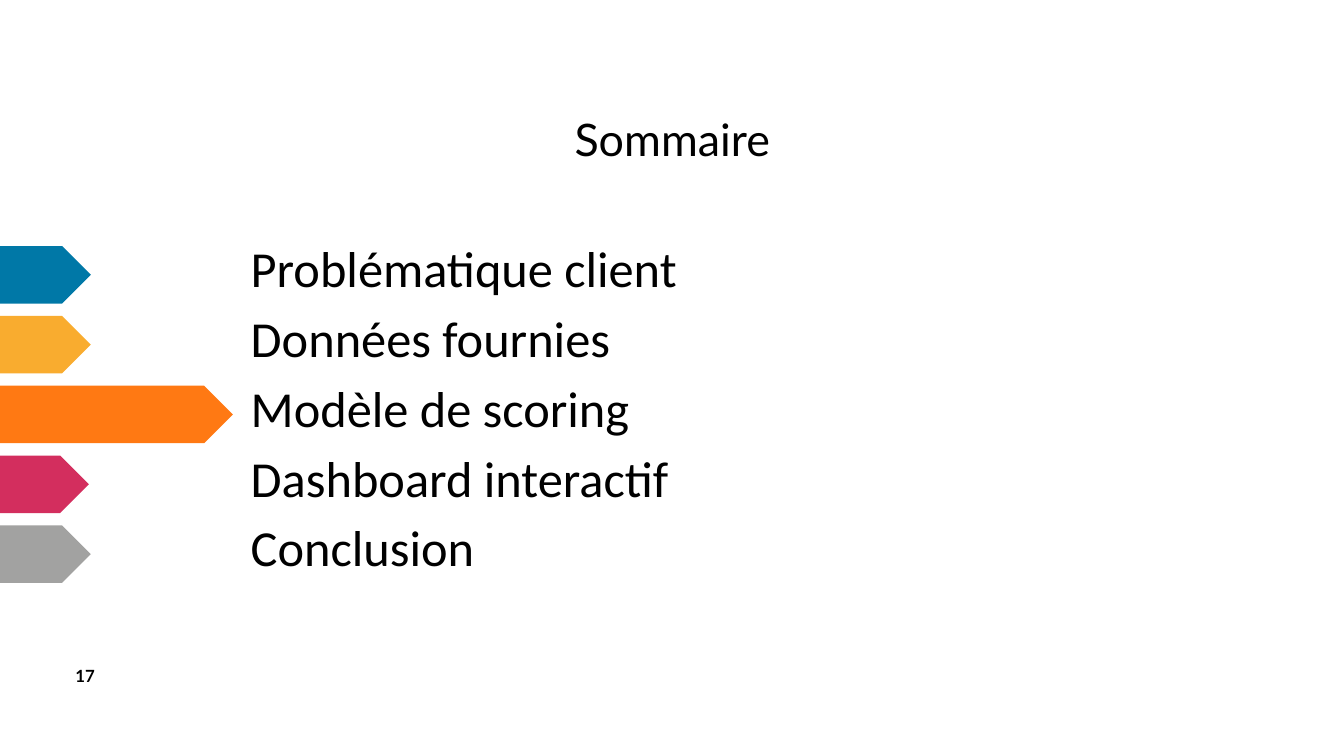
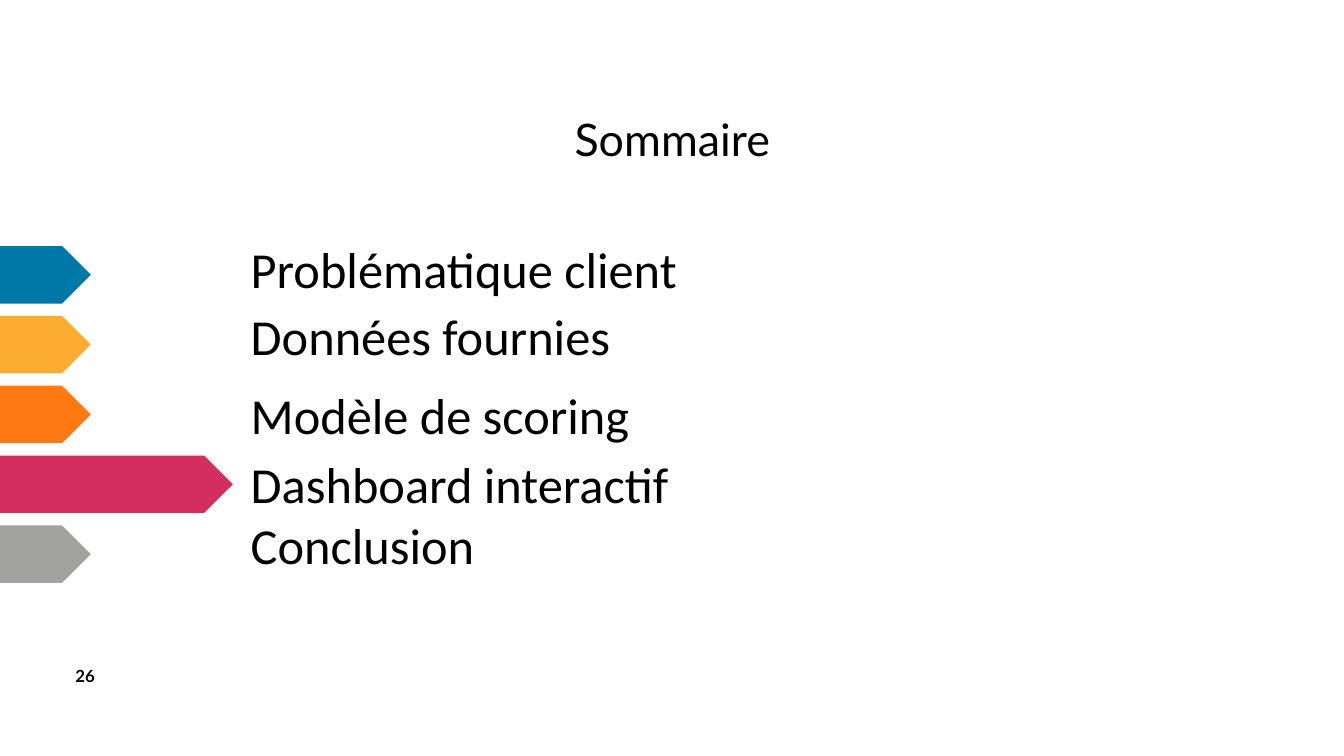
from dataclasses import dataclass

from pptx import Presentation
from pptx.dml.color import RGBColor
from pptx.enum.shapes import MSO_SHAPE
from pptx.enum.text import MSO_ANCHOR, MSO_AUTO_SIZE, PP_ALIGN
from pptx.util import Cm, Pt


@dataclass(frozen=True)
class Theme:
    text: str = "000000"
    arrows: tuple = ("0078A7", "F9AC2F", "FF7913", "D32E5E", "A2A2A1")
    title_font: str = "Lato"
    body_font: str = "Calibri"
    title_size: int = 32
    entry_size: int = 36
    number_size: int = 12


THEME = Theme()

ENTRIES = (
    "Problématique client",
    "Données fournies",
    "Modèle de scoring",
    "Dashboard interactif",
    "Conclusion",
)
ARROW_TOP, ARROW_STEP, ARROW_HEIGHT = 6.2, 1.76, 1.45
ENTRY_LEFT, ENTRY_WIDTH, ENTRY_HEIGHT = 6.32, 13.2, 1.27

# Slide number, arrow widths, and drop of each entry below the top of its arrow
AGENDAS = (
    (17, (2.29, 2.29, 5.87, 2.24, 2.29), (0.07, 0.07, 0.07, 0.07, 0.07)),
    (26, (2.29, 2.29, 2.29, 5.87, 2.29), (0.1, 0.02, 0.26, 0.23, 0.02)),
)


def add_text(slide, text, left, top, width, height, *, font, size, bold=False,
             align=PP_ALIGN.LEFT, anchor=MSO_ANCHOR.TOP, line_spacing=1.0,
             inset=None, wrap=True, grow=True):
    """Add a one-paragraph text box; lengths are in centimetres."""
    box = slide.shapes.add_textbox(Cm(left), Cm(top), Cm(width), Cm(height))
    frame = box.text_frame
    frame.word_wrap = wrap
    frame.vertical_anchor = anchor
    frame.auto_size = MSO_AUTO_SIZE.SHAPE_TO_FIT_TEXT if grow else MSO_AUTO_SIZE.NONE
    if inset is not None:
        frame.margin_left = frame.margin_right = Cm(inset)
        frame.margin_top = frame.margin_bottom = Cm(inset)
    paragraph = frame.paragraphs[0]
    paragraph.alignment = align
    paragraph.line_spacing = line_spacing
    run = paragraph.add_run()
    run.text = text
    run.font.name = font
    run.font.size = Pt(size)
    run.font.bold = bold
    run.font.color.rgb = RGBColor.from_string(THEME.text)


presentation = Presentation()
presentation.slide_width = Cm(33.87)
presentation.slide_height = Cm(19.05)
blank_layout = presentation.slide_layouts[6]

for number, arrow_widths, entry_drops in AGENDAS:
    slide = presentation.slides.add_slide(blank_layout)
    add_text(slide, str(number), 1.65, 16.64, 1.02, 0.76, font=THEME.title_font,
             size=THEME.number_size, bold=True, wrap=False)
    add_text(slide, "Sommaire", 4.98, 2.9, 23.93, 1.37, font=THEME.title_font,
             size=THEME.title_size, align=PP_ALIGN.CENTER,
             anchor=MSO_ANCHOR.MIDDLE, line_spacing=0.9, grow=False)

    rows = zip(ENTRIES, THEME.arrows, arrow_widths, entry_drops)
    for index, (entry, color, arrow_width, drop) in enumerate(rows):
        top = ARROW_TOP + index * ARROW_STEP
        arrow = slide.shapes.add_shape(MSO_SHAPE.PENTAGON, Cm(0), Cm(top),
                                       Cm(arrow_width), Cm(ARROW_HEIGHT))
        arrow.shadow.inherit = False
        arrow.fill.solid()
        arrow.fill.fore_color.rgb = RGBColor.from_string(color)
        arrow.line.fill.background()
        add_text(slide, entry, ENTRY_LEFT, top + drop, ENTRY_WIDTH, ENTRY_HEIGHT,
                 font=THEME.body_font, size=THEME.entry_size,
                 line_spacing=0.8, inset=0)

presentation.save("out.pptx")
